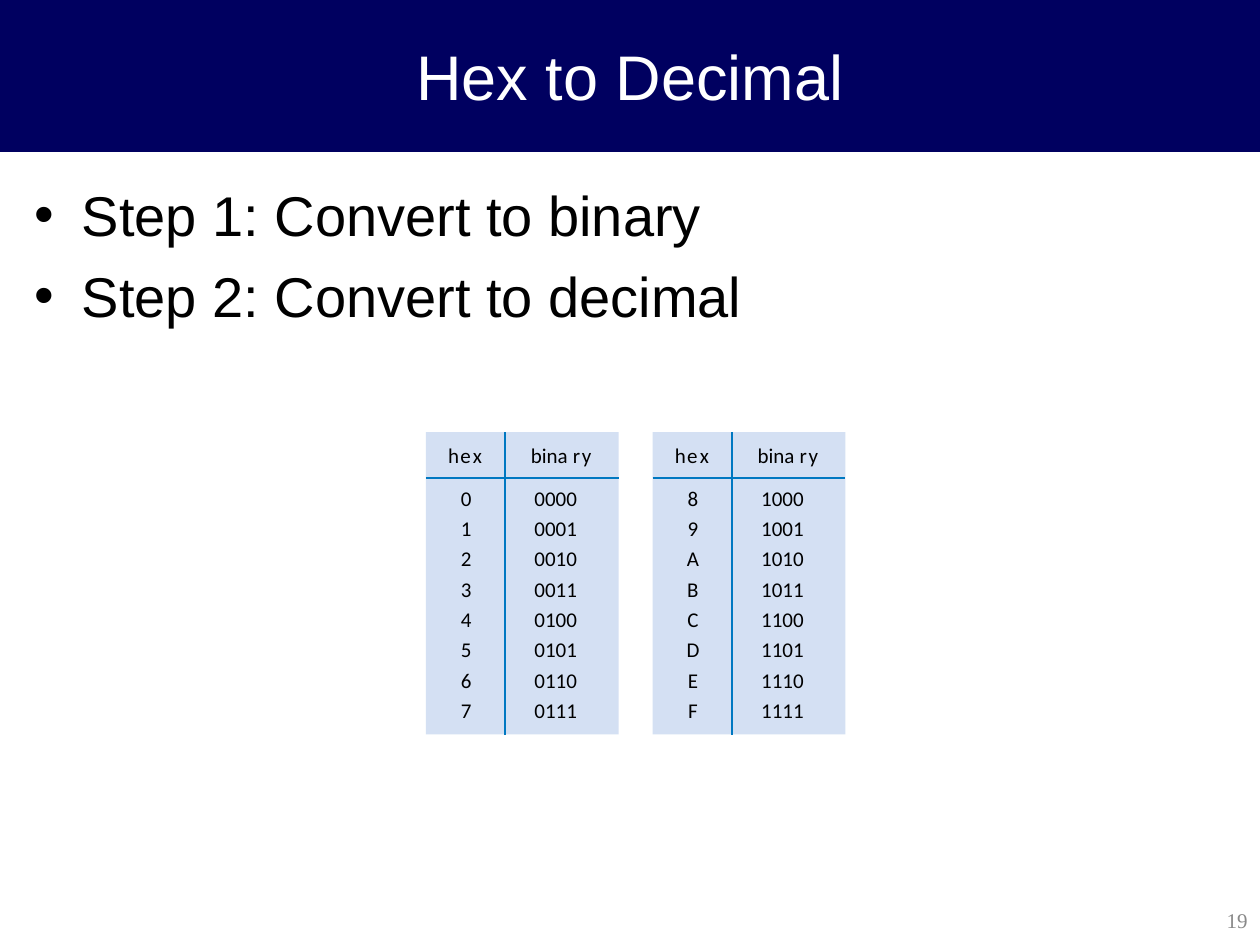
import dataclasses
import typing

import pptx
import pptx.dml.color
import pptx.enum.shapes
import pptx.enum.text
import pptx.oxml
import pptx.oxml.ns
import pptx.util

COLUMNS, ROWS = 100, 75
NAVY, PANEL, RULE = "000060", "D4E0F3", "0078C1"
BLACK, WHITE, GREY = "000000", "FFFFFF", "898989"
ALIGN = pptx.enum.text.PP_ALIGN
ANCHOR = pptx.enum.text.MSO_ANCHOR
AUTO = pptx.enum.text.MSO_AUTO_SIZE

PANEL_TOP, PANEL_WIDTH, PANEL_HEIGHT = 34.3, 15.3, 24
DIVIDER, HEADER_HEIGHT = 6.3, 3.65
HEADER_TOP, FIRST_ROW, ROW_STEP, TEXT_HEIGHT = 35.1, 38.5, 2.41, 2


class Piece(typing.NamedTuple):
    """A header fragment with its offset from the panel's left edge."""
    text: str
    offset: float
    width: float


@dataclasses.dataclass
class HexPanel:
    """A conversion panel listing eight values from a starting one."""
    left: float
    start: int


HEX = Piece("", 2.7, 1)
BINARY = Piece("", 8.4, 3.8)
HEADER = [
    Piece("h", 1.7, 1), Piece("e", 2.7, 0.9), Piece("x", 3.65, 0.9),
    Piece("bina", 8.1, 3.4), Piece("r", 11.6, 0.7), Piece("y", 12.3, 0.9),
]
PANELS = [HexPanel(33.8, 0), HexPanel(51.8, 8)]


def grid(*cells: float) -> list[pptx.util.Emu]:
    """Convert lengths in grid cells to slide lengths."""
    return [pptx.util.Inches(c * 10 / COLUMNS) for c in cells]


def rgb(value: str) -> pptx.dml.color.RGBColor:
    """Return the colour of a hex string."""
    return pptx.dml.color.RGBColor.from_string(value)


def place(sp, left: float, top: float, width: float, height: float) -> None:
    """Move and resize a shape on the grid."""
    sp.left, sp.top, sp.width, sp.height = grid(left, top, width, height)


def write(tf, text: str, *, size: float, font: str = "Calibri", color: str = BLACK,
          align=ALIGN.LEFT, anchor=ANCHOR.TOP, wrap: bool = True,
          margins: tuple = (1, 0.5), auto=AUTO.NONE) -> None:
    """Fill a text frame with formatted lines."""
    tf.text = text
    tf.word_wrap, tf.vertical_anchor, tf.auto_size = wrap, anchor, auto
    tf.margin_left = tf.margin_right = grid(margins[0])[0]
    tf.margin_top = tf.margin_bottom = grid(margins[1])[0]
    for p in tf.paragraphs:
        p.alignment = align
        for r in p.runs:
            r.font.size, r.font.name = pptx.util.Pt(size), font
            r.font.color.rgb = rgb(color)


def add_rect(s, left: float, top: float, width: float, height: float, fill: str):
    """Add a plain filled rectangle."""
    sp = s.shapes.add_shape(pptx.enum.shapes.MSO_SHAPE.RECTANGLE,
                            *grid(left, top, width, height))
    sp.shadow.inherit = False
    sp.fill.solid()
    sp.fill.fore_color.rgb = rgb(fill)
    sp.line.fill.background()
    return sp


def add_line(s, x1: float, y1: float, x2: float, y2: float) -> None:
    """Add a straight table rule."""
    line = s.shapes.add_connector(pptx.enum.shapes.MSO_CONNECTOR.STRAIGHT,
                                  *grid(x1, y1, x2, y2))
    line.line.color.rgb, line.line.width = rgb(RULE), pptx.util.Pt(1.13)
    line._element.spPr.append(pptx.oxml.parse_xml(
        f'<a:effectLst {pptx.oxml.ns.nsdecls("a")}/>'))


def add_label(s, text: str, left: float, top: float, width: float) -> None:
    """Add a small centred label without margins."""
    sp = s.shapes.add_textbox(*grid(left, top, width, TEXT_HEIGHT))
    write(sp.text_frame, text, size=12, align=ALIGN.CENTER, wrap=False,
          margins=(0, 0), auto=AUTO.SHAPE_TO_FIT_TEXT)


def draw_panel(s, panel: HexPanel) -> None:
    """Draw a hex to binary panel with its header and rules."""
    left, right = panel.left, panel.left + PANEL_WIDTH
    add_rect(s, left, PANEL_TOP, PANEL_WIDTH, PANEL_HEIGHT, PANEL)
    for i, value in enumerate(range(panel.start, panel.start + 8)):
        top = FIRST_ROW + i * ROW_STEP
        add_label(s, f"{value:04b}", left + BINARY.offset, top, BINARY.width)
        add_label(s, f"{value:X}", left + HEX.offset, top, HEX.width)
    for piece in HEADER:
        add_label(s, piece.text, left + piece.offset, HEADER_TOP, piece.width)
    rule = PANEL_TOP + HEADER_HEIGHT
    add_line(s, left, rule, right, rule)
    add_line(s, left + DIVIDER, PANEL_TOP, left + DIVIDER, PANEL_TOP + PANEL_HEIGHT)


def draw_title(s) -> None:
    """Draw the title on its band at the back."""
    band = add_rect(s, 0, 0, COLUMNS, 12, NAVY)
    band.line.color.rgb, band.line.width = rgb(NAVY), pptx.util.Pt(0.75)
    s.shapes._spTree.insert(2, band._element)
    place(s.shapes.title, 0, 0, COLUMNS, 12)
    write(s.shapes.title.text_frame, "Hex to Decimal", size=36, font="Arial",
          color=WHITE, align=ALIGN.CENTER, anchor=ANCHOR.MIDDLE)


def draw_steps(s) -> None:
    """Draw the bulleted list of steps."""
    body = s.placeholders[1]
    place(body, 1.7, 13.8, 96.6, 57.2)
    write(body.text_frame, "Step 1: Convert to binary\nStep 2: Convert to decimal",
          size=32, font="Arial")
    for p in body.text_frame.paragraphs:
        p.space_before = pptx.util.Pt(8)
        pPr = p._p.get_or_add_pPr()
        pPr.set("marL", str(grid(3.8)[0]))
        pPr.set("indent", str(grid(-3.8)[0]))
        ns = pptx.oxml.ns.nsdecls("a")
        for xml in (f'<a:buClr {ns}><a:srgbClr val="{BLACK}"/></a:buClr>',
                    f'<a:buFont {ns} typeface="Arial"/>',
                    f'<a:buChar {ns} char="•"/>'):
            pPr.append(pptx.oxml.parse_xml(xml))


def main() -> None:
    """Build and save the slide."""
    prs = pptx.Presentation()
    prs.slide_width, prs.slide_height = grid(COLUMNS, ROWS)
    s = prs.slides.add_slide(prs.slide_layouts[1])
    draw_title(s)
    draw_steps(s)
    number = s.shapes.add_textbox(*grid(78.8, 71, 21.2, 4))
    write(number.text_frame, "19", size=12, font="Times New Roman", color=GREY,
          align=ALIGN.RIGHT, anchor=ANCHOR.MIDDLE)
    for panel in PANELS:
        draw_panel(s, panel)
    prs.save("out.pptx")


if __name__ == "__main__":
    main()
